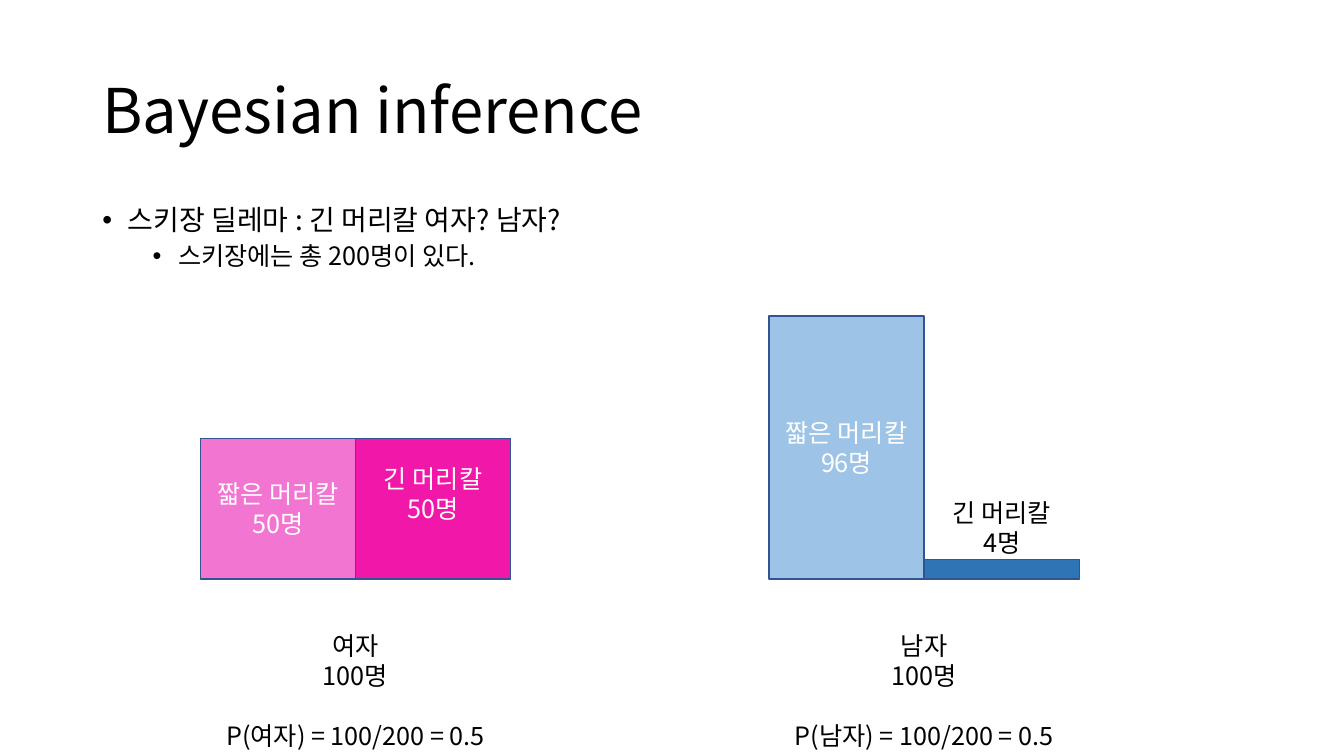
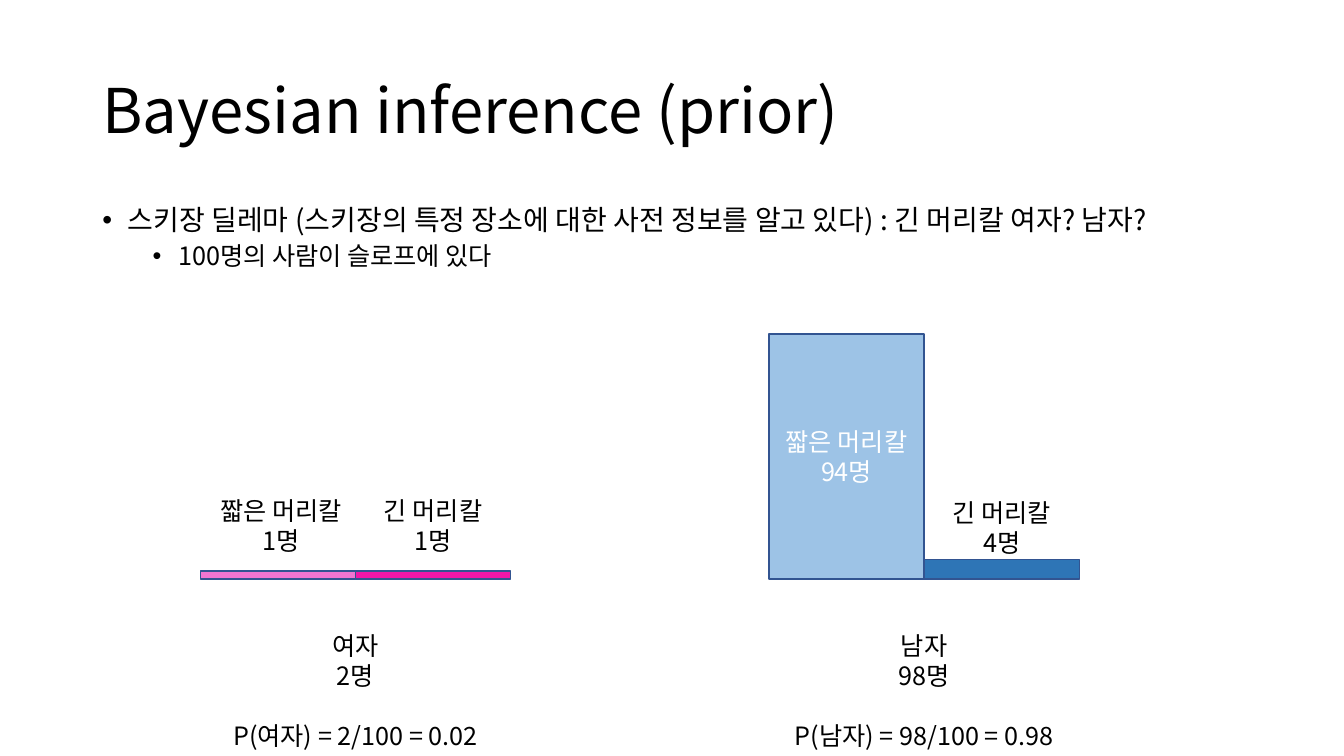
from pptx import Presentation
from pptx.dml.color import RGBColor
from pptx.enum.shapes import MSO_SHAPE
from pptx.enum.text import MSO_ANCHOR, MSO_AUTO_SIZE, PP_ALIGN
from pptx.oxml.ns import qn
from pptx.util import Cm, Pt
from lxml import etree

FONT = "Noto Sans CJK KR"
HEX = {"black": "000000", "white": "FFFFFF", "edge": "325491",
       "pink": "F175D1", "rose": "F117A8", "sky": "9DC3E6", "blue": "2E75B6"}
SHORT, LONG = "짧은 머리칼", "긴 머리칼"
LINE = 21.6  # height of one 18 pt line, in points
WIDE, BASE = 3.91, 14.59  # bar width and ground line, in cm

# Each bar: colour, hair, count, height, label place (shift, top) or None
# for a label inside, and lines the inside label is raised by
SLIDES = [
    ("Bayesian inference",
     "스키장 딜레마 : 긴 머리칼 여자? 남자?",
     "스키장에는 총 200명이 있다.",
     [(5.05, "여자", "100명", "100/200 = 0.5",
       [("pink", SHORT, 50, 3.54, None, 0),
        ("rose", LONG, 50, 3.54, None, 1)]),
      (19.38, "남자", "100명", "100/200 = 0.5",
       [("sky", SHORT, 96, 6.63, None, 0),
        ("blue", LONG, 4, 0.49, (0, 12.4), 0)])]),
    ("Bayesian inference (prior)",
     "스키장 딜레마 (스키장의 특정 장소에 대한 사전 정보를 알고 있다) : "
     "긴 머리칼 여자? 남자?",
     "100명의 사람이 슬로프에 있다",
     [(5.05, "여자", "2명", "2/100 = 0.02",
       [("pink", SHORT, 1, 0.2, (0.08, 12.35), 0),
        ("rose", LONG, 1, 0.2, (0, 12.35), 0)]),
      (19.38, "남자", "98명", "98/100 = 0.98",
       [("sky", SHORT, 94, 6.17, None, 0),
        ("blue", LONG, 4, 0.49, (0, 12.4), 0)])]),
]


def write(frame, lines, size=18, tone="black", align=PP_ALIGN.CENTER):
    """Fill a frame with one styled paragraph per line."""
    frame.word_wrap = True
    frame.text = "\n".join(lines)
    for para in frame.paragraphs:
        para.alignment = align
        font = para.font
        font.size = Pt(size)
        font.name = FONT
        font.color.rgb = RGBColor.from_string(HEX[tone])
        head = para._p.pPr.find(qn("a:defRPr"))
        etree.SubElement(head, qn("a:ea"), typeface=FONT)
    return frame.paragraphs


def add_text(slide, left, top, width, height, lines):
    """Add a text box with centred lines."""
    box = slide.shapes.add_textbox(Cm(left), Cm(top), Cm(width), Cm(height))
    return write(box.text_frame, lines)


deck = Presentation()
deck.slide_width, deck.slide_height = Cm(33.87), Cm(19.05)

for name, topic, fact, groups in SLIDES:
    slide = deck.slides.add_slide(deck.slide_layouts[5])

    # Title
    title = slide.shapes.title
    title.left, title.top = Cm(2.33), Cm(1.01)
    title.width, title.height = Cm(29.21), Cm(3.68)
    frame = title.text_frame
    frame.auto_size = MSO_AUTO_SIZE.NONE
    frame.vertical_anchor = MSO_ANCHOR.MIDDLE
    write(frame, [name], 44, align=PP_ALIGN.LEFT)[0].line_spacing = 0.9

    # Bullets
    paras = add_text(slide, 2.33, 5.07, 29.21, 12.09, [topic, fact])
    for level, para in enumerate(paras):
        para.alignment = PP_ALIGN.LEFT
        para.level = level
        para.line_spacing = 0.9
        para.space_before = Pt(10 - 5 * level)
        para.font.size = Pt(20 - 2 * level)
        props = para._p.pPr
        props.set("marL", str(Cm(0.64 + 1.27 * level)))
        props.set("indent", str(Cm(-0.64)))
        head = props.find(qn("a:defRPr"))
        head.addprevious(etree.Element(qn("a:buFont"), typeface="Arial"))
        head.addprevious(etree.Element(qn("a:buChar"), char="•"))

    for left, who, total, odds, bars in groups:
        # Bars and their labels
        for col, (tone, hair, count, high, place, lift) in enumerate(bars):
            x = left + col * WIDE
            bar = slide.shapes.add_shape(MSO_SHAPE.RECTANGLE, Cm(x),
                                         Cm(BASE - high), Cm(WIDE), Cm(high))
            bar.shadow.inherit = False
            bar.fill.solid()
            bar.fill.fore_color.rgb = RGBColor.from_string(HEX[tone])
            bar.line.color.rgb = RGBColor.from_string(HEX["edge"])
            bar.line.width = Pt(1)
            label = [hair, f"{count}명"]
            if place:
                shift, top = place
                add_text(slide, x + shift, top, WIDE, 1.8, label)
            else:
                frame = bar.text_frame
                frame.vertical_anchor = MSO_ANCHOR.MIDDLE
                frame.margin_bottom = Cm(0.13) + lift * Pt(LINE)
                write(frame, label, tone="white")

        # Group total and probability
        paras = add_text(slide, left, 15.75, 2 * WIDE, 3.33,
                         [who, total, f"P({who}) = {odds}"])
        paras[2].space_before = Pt(LINE)

deck.save("out.pptx")
